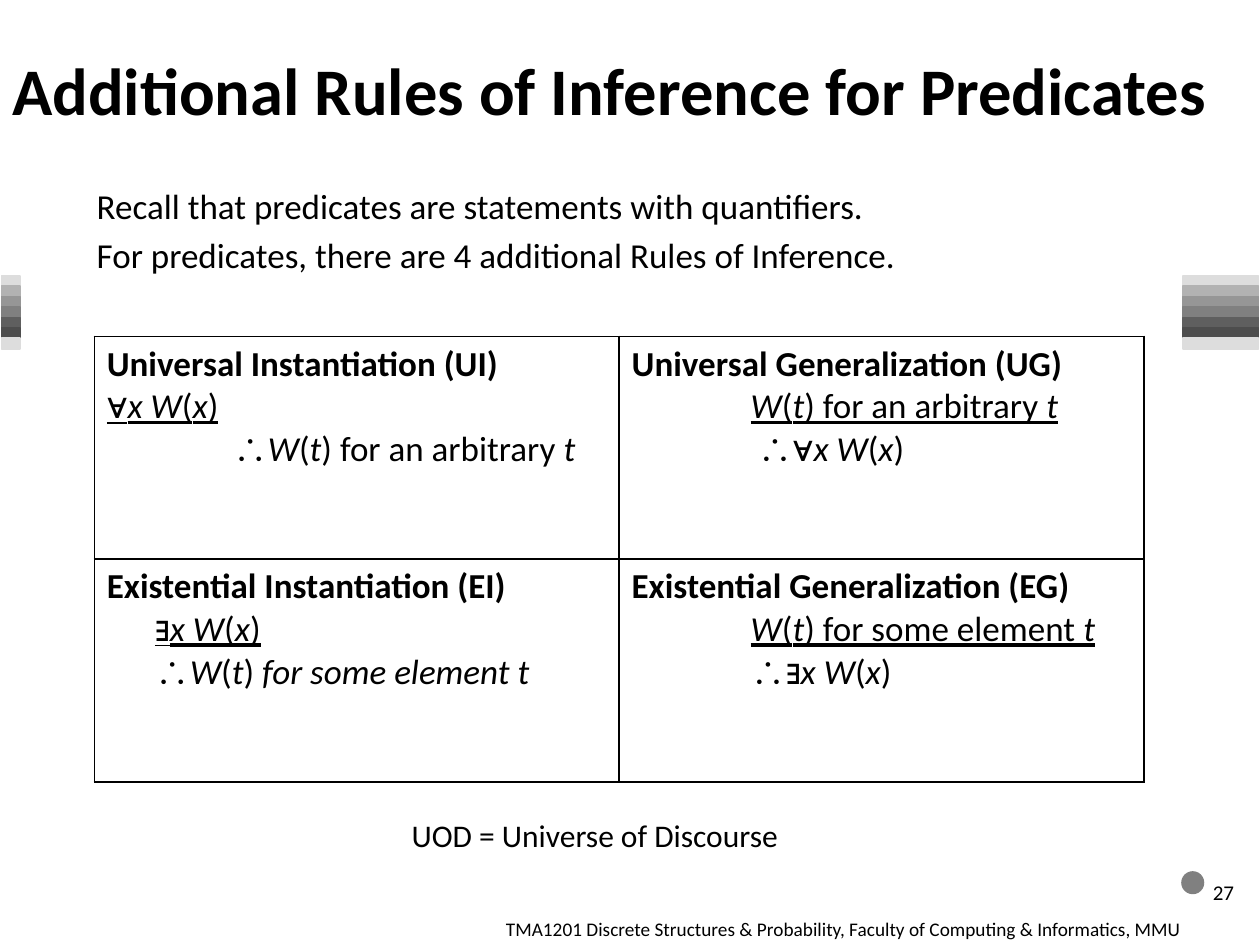
from itertools import groupby
from lxml.etree import SubElement
from pptx import Presentation
from pptx.dml.color import RGBColor
from pptx.enum.shapes import MSO_SHAPE
from pptx.enum.text import MSO_ANCHOR
from pptx.oxml.ns import qn
from pptx.util import Cm, Pt


def rgb(value):
    return RGBColor.from_string(value)


def add_run(p, text, **fmt):
    r = p.add_run()
    r.text = text
    r.font.color.rgb = rgb("000000")
    for key, value in {"name": "Calibri", "size": Pt(20), **fmt}.items():
        setattr(r.font, key, value)


prs = Presentation()
prs.slide_width, prs.slide_height = Cm(25.4), Cm(19.05)
s = prs.slides.add_slide(prs.slide_layouts[6])

bars = ["DDDDDD", "B2B2B2", "969696", "808080", "5F5F5F", "4D4D4D", "DDDDDD"]
marks = [(MSO_SHAPE.RECTANGLE, left, 5.56 + 0.21 * i, width, 0.21, color)
         for left, width in [(0.03, 0.38), (23.85, 1.52)]
         for i, color in enumerate(bars)]
marks.append((MSO_SHAPE.OVAL, 23.83, 17.58, 0.43, 0.43, "808080"))
for kind, left, top, width, height, color in marks:
    sp = s.shapes.add_shape(kind, Cm(left), Cm(top), Cm(width), Cm(height))
    sp.shadow.inherit = False
    sp.fill.solid()
    sp.fill.fore_color.rgb = rgb(color)
    sp.line.color.rgb = rgb(color)
    sp.line.width = Pt(1)

middle, upper = MSO_ANCHOR.MIDDLE, MSO_ANCHOR.TOP
texts = [
    (0, 0.2, 25.4, 3.18, middle, {"size": Pt(38), "bold": True},
     ["Additional Rules of Inference for Predicates"]),
    (1.7, 3.6, 22.02, 2.75, upper, {},
     ["Recall that predicates are statements with quantifiers.",
      "For predicates, there are 4 additional Rules of Inference."]),
    (8.05, 16.33, 8.9, 1.02, upper, {"size": Pt(18)}, ["UOD = Universe of Discourse"]),
    (24.2, 17.35, 1.2, 1.27, middle, {"size": Pt(12)}, ["27"]),
    (9.95, 18.36, 15.45, 0.69, upper, {"size": Pt(11)},
     ["TMA1201 Discrete Structures & Probability, Faculty of Computing & Informatics, MMU"]),
]
for left, top, width, height, anchor, fmt, lines in texts:
    tf = s.shapes.add_textbox(Cm(left), Cm(top), Cm(width), Cm(height)).text_frame
    tf.word_wrap = True
    tf.vertical_anchor = anchor
    for i, line in enumerate(lines):
        p = tf.add_paragraph() if i else tf.paragraphs[0]
        if i:
            p.space_before = Pt(4)
        add_run(p, line, **fmt)

rules = [
    [("Universal Instantiation (UI)", [], "∀*x W*(*x*)",
      [2.54], "∴*W*(*t*) for an arbitrary *t*"),
     ("Universal Generalization (UG)", [2.4], "*W*(*t*) for an arbitrary *t*",
      [2.54], "∴∀*x W*(*x*)")],
    [("Existential Instantiation (EI)", [0.97, 9.47], "∃*x W*(*x*)\t",
      [0.97], "∴*W*(*t*)* for some element t*"),
     ("Existential Generalization (EG)", [2.4], "*W*(*t*) for some element *t*",
      [2.4], "∴∃*x W*(*x*)")],
]
table = s.shapes.add_table(2, 2, Cm(1.9), Cm(6.78), Cm(21.16), Cm(8.98)).table
for i, row in enumerate(rules):
    for j, (name, stops, premise, end_stops, conclusion) in enumerate(row):
        cell = table.cell(i, j)
        cell.fill.background()
        tcPr = cell._tc.get_or_add_tcPr()
        for k, side in enumerate(["lnL", "lnR", "lnT", "lnB"]):
            ln = tcPr.makeelement(qn(f"a:{side}"), {"w": "12700"})
            SubElement(SubElement(ln, qn("a:solidFill")), qn("a:srgbClr"), val="000000")
            tcPr.insert(k, ln)
        tf = cell.text_frame
        add_run(tf.paragraphs[0], name, bold=True)
        for line, tabs, underline in [(premise, stops, True), (conclusion, end_stops, False)]:
            p = tf.add_paragraph()
            if tabs:
                tabLst = SubElement(p._p.get_or_add_pPr(), qn("a:tabLst"))
                for tab in tabs:
                    SubElement(tabLst, qn("a:tab"), pos=str(Cm(tab)), algn="l")
                add_run(p, "\t", bold=False)
            for n, part in enumerate(line.split("*")):
                for symbol, chars in groupby(part, lambda c: c in "∴∀∃"):
                    add_run(p, "".join(chars), name="Arial" if symbol else "Calibri",
                            bold=False, italic=n % 2 == 1, underline=underline)

prs.save("out.pptx")
